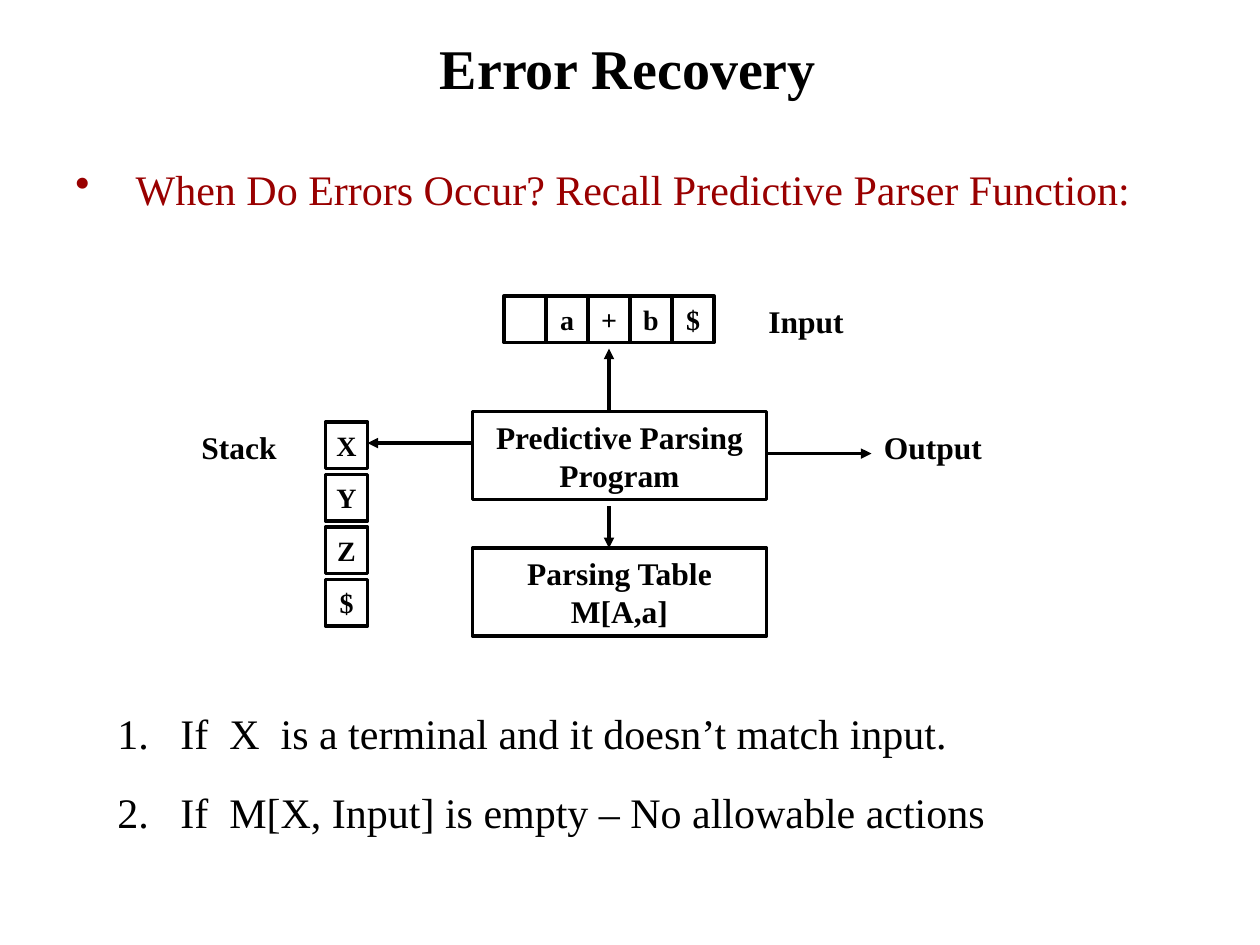
from lxml import etree
from pptx import Presentation
from pptx.dml.color import RGBColor
from pptx.enum.shapes import MSO_CONNECTOR, MSO_SHAPE
from pptx.enum.text import MSO_ANCHOR, PP_ALIGN
from pptx.oxml.ns import qn
from pptx.util import Pt

RECTANGLE = MSO_SHAPE.RECTANGLE
STRAIGHT = MSO_CONNECTOR.STRAIGHT
LEFT, CENTER = PP_ALIGN.LEFT, PP_ALIGN.CENTER
TOP, MIDDLE = MSO_ANCHOR.TOP, MSO_ANCHOR.MIDDLE
FONT = "Times New Roman"
BLACK, DARK_RED = "000000", "990000"
CELL_WIDTH, CELL_HEIGHT = 24, 26.6


def color(value):
    return RGBColor.from_string(value)


def write(frame, *lines, size=18, bold=True, ink=BLACK, align=LEFT, anchor=TOP,
          side=7.2, gap=0, indent=0, bullet=None):
    frame.word_wrap = True
    frame.vertical_anchor = anchor
    frame.margin_left = frame.margin_right = Pt(side)
    frame.margin_top = frame.margin_bottom = Pt(3.6)
    for index, line in enumerate(lines):
        paragraph = frame.add_paragraph() if index else frame.paragraphs[0]
        paragraph.text = line
        paragraph.alignment = align
        if index:
            paragraph.space_before = Pt(gap)
        if bullet:
            properties = paragraph._p.get_or_add_pPr()
            properties.set("marL", str(Pt(indent)))
            properties.set("indent", str(-Pt(indent)))
            tag, attribute, value = bullet
            etree.SubElement(properties, qn(tag)).set(attribute, value)
        paragraph.font.name = FONT
        paragraph.font.size = Pt(size)
        paragraph.font.bold = bold
        paragraph.font.color.rgb = color(ink)


def add_text(slide, box, *lines, **style):
    label = slide.shapes.add_textbox(*map(Pt, box))
    write(label.text_frame, *lines, **style)


def add_block(slide, box, text, **style):
    block = slide.shapes.add_shape(RECTANGLE, *map(Pt, box))
    block.shadow.inherit = False
    block.fill.background()
    block.line.color.rgb = color(BLACK)
    block.line.width = Pt(2)
    write(block.text_frame, text, align=CENTER, **style)


def add_arrow(slide, start, end):
    arrow = slide.shapes.add_connector(STRAIGHT, *map(Pt, start + end))
    arrow.line.color.rgb = color(BLACK)
    arrow.line.width = Pt(2)
    etree.SubElement(arrow.line._get_or_add_ln(), qn("a:tailEnd")).set("type", "triangle")
    etree.SubElement(arrow._element.spPr, qn("a:effectLst"))


def add_cells(slide, left, top, symbols, step_x=0, step_y=0):
    for index, symbol in enumerate(symbols):
        box = (left + index * step_x, top + index * step_y, CELL_WIDTH, CELL_HEIGHT)
        add_block(slide, box, symbol, size=16, side=0)


def add_parser_diagram(slide, left, top):
    program_left, program_top = left + 162, top + 66
    program_width, program_height = 168, 50.4
    program_right = program_left + program_width
    stack_left, stack_top = left + 78, top + 72
    table_top = top + 144
    axis = left + 240

    add_cells(slide, left + 180, top, ["", "a", "+", "b", "$"], step_x=CELL_WIDTH)
    add_cells(slide, stack_left, stack_top, "XYZ$", step_y=30)
    for text, block_top in (("Predictive Parsing Program", program_top),
                            ("Parsing Table M[A,a]", table_top)):
        add_block(slide, (program_left, block_top, program_width, program_height), text)
    for text, x, y, width in (("Input", left + 324, top, 66),
                              ("Stack", left, stack_top, 66),
                              ("Output", left + 390, stack_top, 90)):
        add_text(slide, (x, y, width, 29), text)

    add_arrow(slide, (axis, program_top), (axis, top + 30))
    add_arrow(slide, (program_left, top + 84), (stack_left + CELL_WIDTH, top + 84))
    add_arrow(slide, (axis, top + 120), (axis, table_top))
    add_arrow(slide, (program_right, top + 90), (left + 390, top + 90))


def add_question(slide, box):
    add_text(slide, box, "When Do Errors Occur? Recall Predictive Parser Function:",
             size=24, bold=False, ink=DARK_RED, indent=34.5,
             bullet=("a:buChar", "char", "•"))


def add_error_cases(slide, box):
    add_text(slide, box, "If  X  is a terminal and it doesn’t match input.",
             "If  M[X, Input] is empty – No allowable actions",
             size=24, bold=False, gap=16, indent=36,
             bullet=("a:buAutoNum", "type", "arabicPeriod"))


def main():
    presentation = Presentation()
    presentation.slide_width, presentation.slide_height = Pt(720), Pt(540)
    slide = presentation.slides.add_slide(presentation.slide_layouts[6])
    add_text(slide, (8.6, 4.3, 700.6, 68.4), "Error Recovery",
             size=32, align=CENTER, anchor=MIDDLE)
    add_parser_diagram(slide, 108, 169.2)
    add_question(slide, (36, 90, 654, 36))
    add_error_cases(slide, (60, 401, 612, 80))
    presentation.save("out.pptx")


if __name__ == "__main__":
    main()
